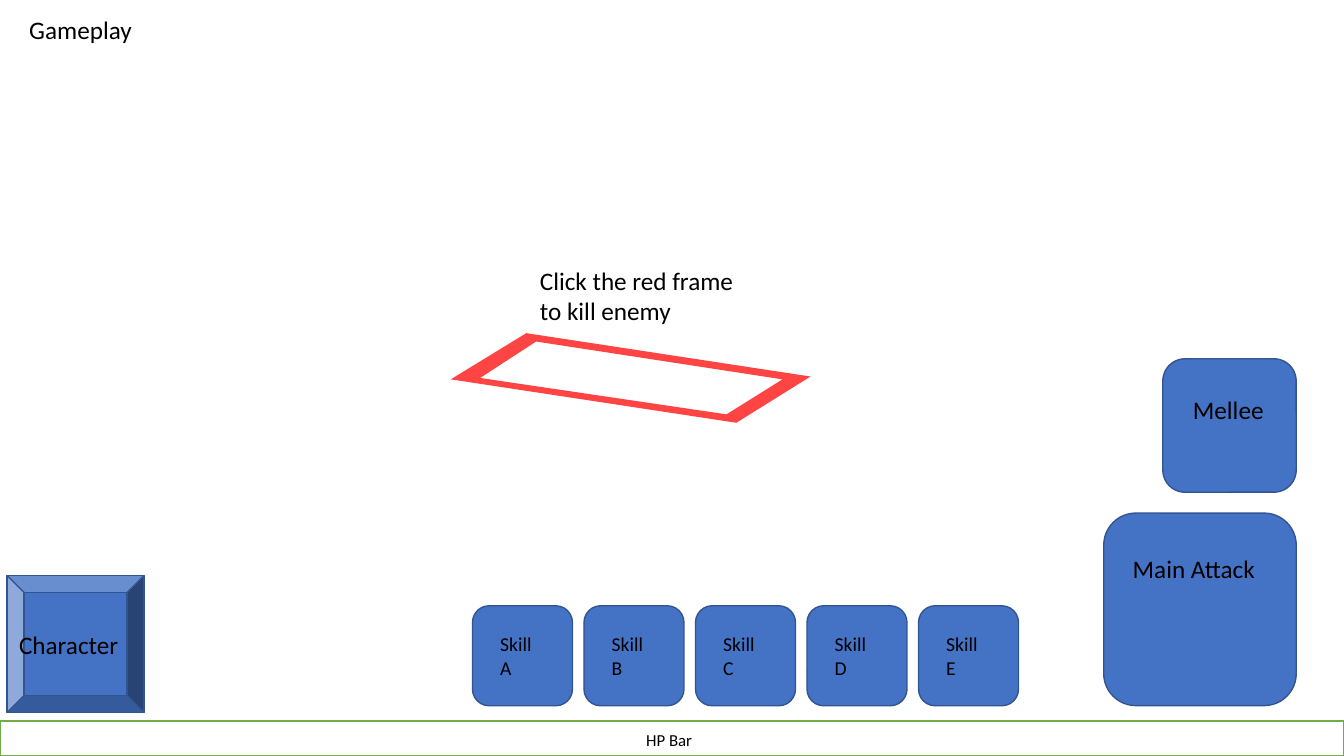
import pptx
import pptx.util
import pptx.dml.color
import pptx.enum.shapes
import pptx.enum.text

Pt = pptx.util.Pt
KIND = pptx.enum.shapes.MSO_SHAPE
ALIGN = pptx.enum.text.PP_ALIGN

HEX = {"white": "FFFFFF", "black": "000000", "blue": "4472C4",
       "edge": "325491", "green": "70AD47", "red": "FF4444"}
FONT = "Calibri"
WIDE, HIGH = 960, 540

TITLE = ("Gameplay", (13.7, 6.5, 466, 29))
BAR = ("HP Bar", (0, 515, WIDE, 25), (5, 517.7, 946, 21.6))
KEYS = [
    ("Character", KIND.BEVEL, (5, 411, 98, 98), (6.5, 445.7, 98, 29)),
    ("Main Attack", KIND.ROUNDED_RECTANGLE, (788.4, 366.5, 137.5, 137.5), (802, 391.7, 106, 29)),
    ("Mellee", KIND.ROUNDED_RECTANGLE, (830.6, 256.3, 95.3, 95.3), (845, 278, 71.3, 29)),
]
SKILLS = "ABCDE"
FIRST, TOP, SIDE, STEP = 337.5, 432.7, 71.4, 79.65
HINT = ("Click the red frame to kill enemy", (378.6, 185.8, 161.3, 51))
OUTER = [(376.4, 237.9), (579.3, 268.6), (525.7, 302.1), (322.1, 271.4)]
INNER = [(382.9, 244.3), (342.9, 269.6), (518.6, 296.1), (558.6, 270.7)]


def color(name):
    return pptx.dml.color.RGBColor.from_string(HEX[name])


def place(shape, box):
    shape.left, shape.top, shape.width, shape.height = map(Pt, box)


def paint(shape, fill, line=None):
    shape.shadow.inherit = False
    shape.fill.solid()
    shape.fill.fore_color.rgb = color(fill)
    if line:
        shape.line.color.rgb = color(line)
        shape.line.width = Pt(1)
    else:
        shape.line.fill.background()


def block(slide, kind, box, fill="blue", line="edge"):
    paint(slide.shapes.add_shape(kind, *map(Pt, box)), fill, line)


def write(frame, text, size=18, align=ALIGN.LEFT):
    frame.text = text
    frame.word_wrap = True
    frame.auto_size = pptx.enum.text.MSO_AUTO_SIZE.NONE
    frame.vertical_anchor = pptx.enum.text.MSO_ANCHOR.TOP
    for para in frame.paragraphs:
        para.alignment = align
        para.font.name = FONT
        para.font.size = Pt(size)
        para.font.color.rgb = color("black")


def label(slide, text, box, size=18, align=ALIGN.LEFT):
    write(slide.shapes.add_textbox(*map(Pt, box)).text_frame, text, size, align)


def target(slide):
    pen = slide.shapes.build_freeform(*OUTER[0], scale=Pt(1))
    pen.add_line_segments(OUTER[1:], close=True)
    pen.move_to(*INNER[0])
    pen.add_line_segments(INNER[1:], close=True)
    paint(pen.convert_to_shape(), "red")


def main():
    deck = pptx.Presentation()
    deck.slide_width, deck.slide_height = Pt(WIDE), Pt(HIGH)
    slide = deck.slides.add_slide(deck.slide_layouts[5])
    text, box = TITLE
    place(slide.shapes.title, box)
    write(slide.shapes.title.text_frame, text)

    text, box, area = BAR
    block(slide, KIND.RECTANGLE, box, "white", "green")
    label(slide, text, area, 12, ALIGN.CENTER)

    for text, kind, box, area in KEYS:
        block(slide, kind, box)
        label(slide, text, area)

    for num, name in enumerate(SKILLS):
        left = FIRST + num * STEP
        block(slide, KIND.ROUNDED_RECTANGLE, (left, TOP, SIDE, SIDE))
        label(slide, f"Skill\n{name}", (left + 12.7, TOP + 15.2, 45.4, 41), 14)

    target(slide)
    label(slide, *HINT)
    deck.save("out.pptx")


if __name__ == "__main__":
    main()
